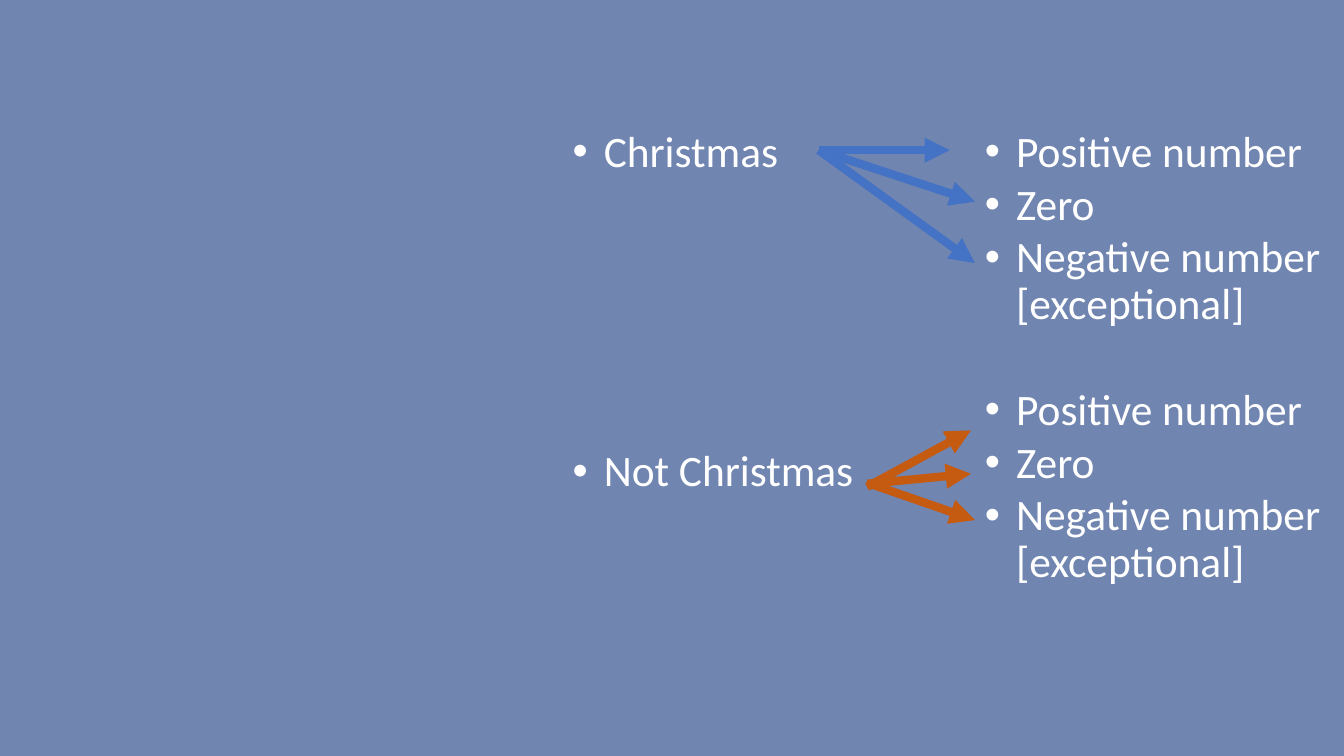
from lxml import etree
from pptx import Presentation
from pptx.dml.color import RGBColor
from pptx.enum.shapes import MSO_CONNECTOR as Connector
from pptx.enum.text import MSO_ANCHOR as Anchor, MSO_AUTO_SIZE as AutoSize, PP_ALIGN as Align
from pptx.oxml.ns import qn
from pptx.util import Inches, Pt

LINE_STEP = 38.1  # points from one bullet to the next
CHRISTMAS_BLUE = "4472C4"
ORDINARY_ORANGE = "C55A11"


def color(hex_value):
    return RGBColor.from_string(hex_value)


class OutcomeSlide:
    font = "Calibri"
    text_size = Pt(31)
    text_color = "FFFFFF"
    background = "7185B1"
    indent = Inches(0.31)

    def __init__(self, presentation):
        self.slide = presentation.slides.add_slide(presentation.slide_layouts[6])
        fill = self.slide.background.fill
        fill.solid()
        fill.fore_color.rgb = color(self.background)

    def bullet_column(self, left, top, width, height, groups, skipped_lines):
        """Groups of bullets, set apart by a number of skipped lines."""
        column = self.slide.shapes.add_textbox(*map(Inches, (left, top, width, height)))
        frame = column.text_frame
        frame_format = {"word_wrap": True, "auto_size": AutoSize.NONE,
                        "vertical_anchor": Anchor.TOP}
        for name, value in frame_format.items():
            setattr(frame, name, value)
        paragraph = frame.paragraphs[0]
        for group_index, group in enumerate(groups):
            for item_index, item in enumerate(group):
                if group_index or item_index:
                    paragraph = frame.add_paragraph()
                opens_group = group_index and not item_index
                self.bullet(paragraph, item, skipped_lines if opens_group else 0)

    def bullet(self, paragraph, text, lines_before):
        paragraph.text = text
        paragraph_format = {"alignment": Align.LEFT, "line_spacing": 0.9,
                            "space_before": Pt(lines_before * LINE_STEP),
                            "space_after": Pt(4.1)}
        for name, value in paragraph_format.items():
            setattr(paragraph, name, value)
        for run in paragraph.runs:
            run.font.name = self.font
            run.font.size = self.text_size
            run.font.color.rgb = color(self.text_color)
        properties = paragraph._p.get_or_add_pPr()
        properties.set("marL", str(self.indent))
        properties.set("indent", str(-self.indent))
        etree.SubElement(properties, qn("a:buFont"), typeface="Arial")
        etree.SubElement(properties, qn("a:buChar"), char="•")

    def arrow(self, start, end, line_color):
        arrow = self.slide.shapes.add_connector(
            Connector.STRAIGHT, *map(Inches, (*start, *end)))
        arrow.line.color.rgb = color(line_color)
        arrow.line.width = Pt(6)
        etree.SubElement(arrow.line._get_or_add_ln(), qn("a:tailEnd"), type="triangle")
        etree.SubElement(arrow._element.spPr, qn("a:effectLst"))


def main():
    presentation = Presentation()
    presentation.slide_width = Inches(13.33)
    presentation.slide_height = Inches(7.5)
    slide = OutcomeSlide(presentation)

    # Outcomes for each season, then the seasons
    outcomes = ["Positive number", "Zero", "Negative number \v[exceptional]"]
    slide.bullet_column(9.67, 1.24, 3.66, 5.34, [outcomes, outcomes], 1)
    slide.bullet_column(5.58, 1.24, 3.02, 3.86, [["Christmas"], ["Not Christmas"]], 5)

    # Arrows from each season to its outcomes
    christmas = (8.12, 1.49)
    for outcome in [(9.42, 1.49), (9.67, 2), (9.67, 2.61)]:
        slide.arrow(christmas, outcome, CHRISTMAS_BLUE)
    for not_christmas, outcome in [((8.6, 4.83), (9.63, 4.27)),
                                   ((8.6, 4.8), (9.63, 4.7)),
                                   ((8.63, 4.8), (9.67, 5.16))]:
        slide.arrow(not_christmas, outcome, ORDINARY_ORANGE)

    presentation.save("out.pptx")


if __name__ == "__main__":
    main()
